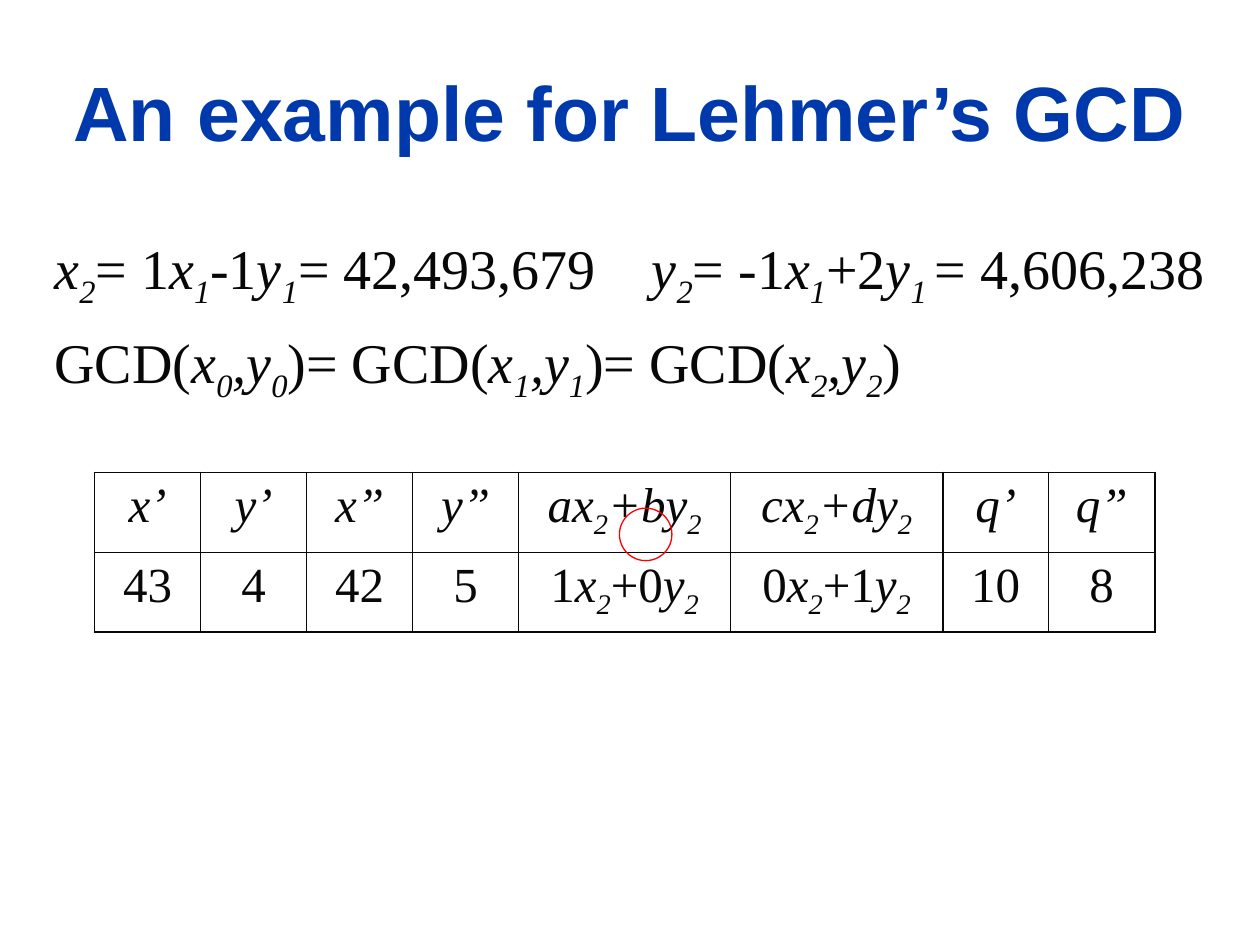
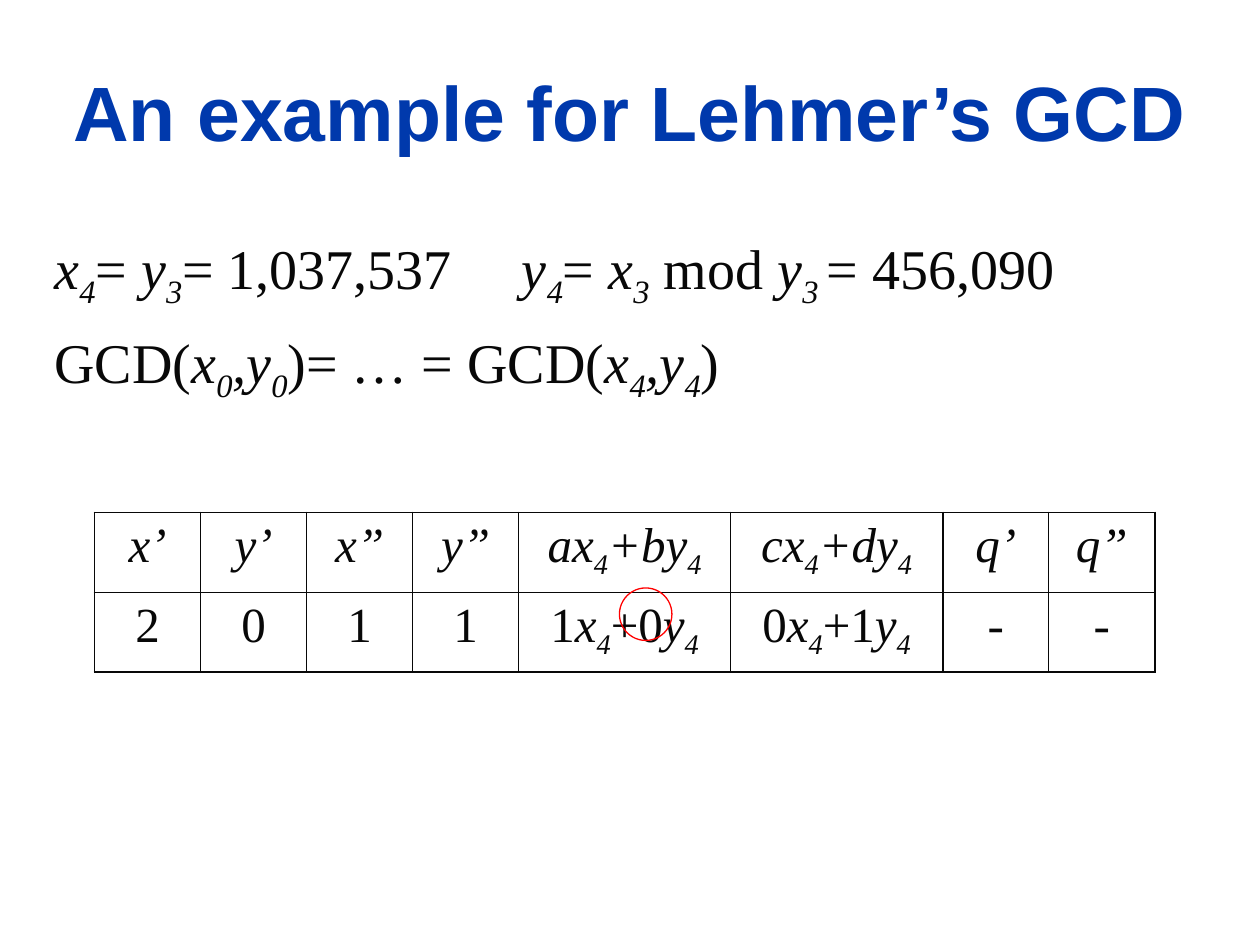
from lxml.etree import SubElement
from pptx import Presentation
from pptx.dml.color import RGBColor
from pptx.enum.shapes import MSO_SHAPE
from pptx.enum.text import MSO_ANCHOR, PP_ALIGN
from pptx.oxml.ns import qn
from pptx.util import Inches, Pt

COLOURS = {"title": "0039AC", "text": "080808", "mark": "FF0000"}
FORMATS = {
    "title": {"name": "Arial", "size": Pt(44), "bold": True},
    "body": {"name": "Times New Roman", "size": Pt(32)},
    "cell": {"name": "Times New Roman", "size": Pt(28)},
}
GRID_COLUMNS, GRID_ROWS = 120, 90
TABLE_COLUMNS = [10.1] * 4 + [20.2] * 2 + [10.1] * 2
TABLE_ROW = 7.6
HEAVY, LIGHT = Pt(1.08), Pt(0.45)
TITLE = "An example for Lehmer’s GCD"

# In texts, *...* is italic and, inside it, _..._ is subscript.
STEPS = [
    {
        "lines": [
            "*x_2_*= 1*x_1_*-1*y_1_*= 42,493,679\t*y_2_*= *-*1*x_1_*+2*y_1 _*= 4,606,238",
            "GCD(*x_0_,y_0_*)= GCD(*x_1_,y_1_*)= GCD(*x_2_,y_2_*)",
        ],
        "tab": 4.74,
        "index": 2,
        "numbers": ["43", "4", "42", "5"],
        "quotients": ["10", "8"],
        "table_top": 45,
        "circle_top": 48.4,
    },
    {
        "lines": [
            "*x_4_*= *y_3_*= 1,037,537\t*y_4_*= *x_3_* mod *y_3 _*= 456,090",
            "GCD(*x_0_,y_0_*)= … = GCD(*x_4_,y_4_*)",
        ],
        "tab": 3.71,
        "index": 4,
        "numbers": ["2", "0", "1", "1"],
        "quotients": ["-", "-"],
        "table_top": 48.8,
        "circle_top": 56,
    },
]


def apply(target, values):
    for name, value in values.items():
        setattr(target, name, value)


def colour(name):
    return RGBColor.from_string(COLOURS[name])


class Deck:
    """Holds the presentation, its style and the slide being filled."""

    def __init__(self):
        self.presentation = Presentation()
        apply(self.presentation, {"slide_width": Inches(10), "slide_height": Inches(7.5)})
        self.slide = None

    def new_slide(self):
        self.slide = self.presentation.slides.add_slide(self.presentation.slide_layouts[6])

    def across(self, columns):
        return round(self.presentation.slide_width * columns / GRID_COLUMNS)

    def down(self, rows):
        return round(self.presentation.slide_height * rows / GRID_ROWS)

    def box(self, left, top, width, height):
        return self.across(left), self.down(top), self.across(width), self.down(height)

    def add_runs(self, paragraph, text, style, ink="text"):
        """Add marked-up text as runs in the given style."""
        for part_number, part in enumerate(text.split("*")):
            italic = part_number % 2 == 1
            for piece_number, piece in enumerate(part.split("_")):
                if not piece:
                    continue
                run = paragraph.add_run()
                run.text = piece
                apply(run.font, FORMATS[style] | {"italic": italic})
                run.font.color.rgb = colour(ink)
                if piece_number % 2:
                    run.font._element.set("baseline", "-25000")

    def title(self, text):
        frame = self.slide.shapes.add_textbox(*self.box(4, 3, 112, 15)).text_frame
        apply(frame, {"word_wrap": True, "vertical_anchor": MSO_ANCHOR.MIDDLE})
        paragraph = frame.paragraphs[0]
        paragraph.alignment = PP_ALIGN.CENTER
        self.add_runs(paragraph, text, "title", "title")

    def body(self, lines, tab):
        frame = self.slide.shapes.add_textbox(*self.box(4, 21, 112, 59)).text_frame
        apply(frame, {"word_wrap": True, "margin_top": Inches(0.1)})
        for number, line in enumerate(lines):
            paragraph = frame.add_paragraph() if number else frame.paragraphs[0]
            if number:
                paragraph.space_before = Pt(10)
            if "\t" in line:
                tabs = SubElement(paragraph._p.get_or_add_pPr(), qn("a:tabLst"))
                SubElement(tabs, qn("a:tab"), pos=str(Inches(tab)), algn="l")
            self.add_runs(paragraph, line, "body")

    def border(self, cell, row, column):
        """Draw the cell's sides: every second grid line is heavy."""
        properties = cell._tc.get_or_add_tcPr()
        sides = {"lnL": column, "lnR": column + 1, "lnT": row, "lnB": row + 1}
        for side, position in sides.items():
            width = LIGHT if position % 2 else HEAVY
            line = SubElement(properties, qn(f"a:{side}"), w=str(width))
            fill = SubElement(line, qn("a:solidFill"))
            SubElement(fill, qn("a:srgbClr"), val=COLOURS["text"])

    def table(self, top, rows):
        place = self.box(9, top, sum(TABLE_COLUMNS), TABLE_ROW * len(rows))
        table = self.slide.shapes.add_table(len(rows), len(TABLE_COLUMNS), *place).table
        apply(table, {"first_row": False, "horz_banding": False})
        for column, width in zip(table.columns, TABLE_COLUMNS):
            column.width = self.across(width)
        for row_number, texts in enumerate(rows):
            table.rows[row_number].height = self.down(TABLE_ROW)
            for column_number, text in enumerate(texts):
                cell = table.cell(row_number, column_number)
                self.border(cell, row_number, column_number)
                cell.fill.background()
                paragraph = cell.text_frame.paragraphs[0]
                paragraph.alignment = PP_ALIGN.CENTER
                self.add_runs(paragraph, text, "cell")

    def circle(self, top):
        circle = self.slide.shapes.add_shape(MSO_SHAPE.OVAL, *self.box(59, top, 5, 5))
        circle.shadow.inherit = False
        circle.fill.background()
        circle.line.color.rgb = colour("mark")
        circle.line.width = Pt(0.75)


def table_rows(step):
    x, y = (f"{name}_{step['index']}_" for name in "xy")
    header = ["*x’*", "*y’*", "*x”*", "*y”*", f"*a{x}+b{y}*", f"*c{x}+d{y}*", "*q’*", "*q”*"]
    combinations = [f"1*{x}*+0*{y}*", f"0*{x}*+1*{y}*"]
    return [header, step["numbers"] + combinations + step["quotients"]]


def main():
    deck = Deck()
    for step in STEPS:
        deck.new_slide()
        deck.title(TITLE)
        deck.body(step["lines"], step["tab"])
        deck.table(step["table_top"], table_rows(step))
        deck.circle(step["circle_top"])
    deck.presentation.save("out.pptx")


if __name__ == "__main__":
    main()
